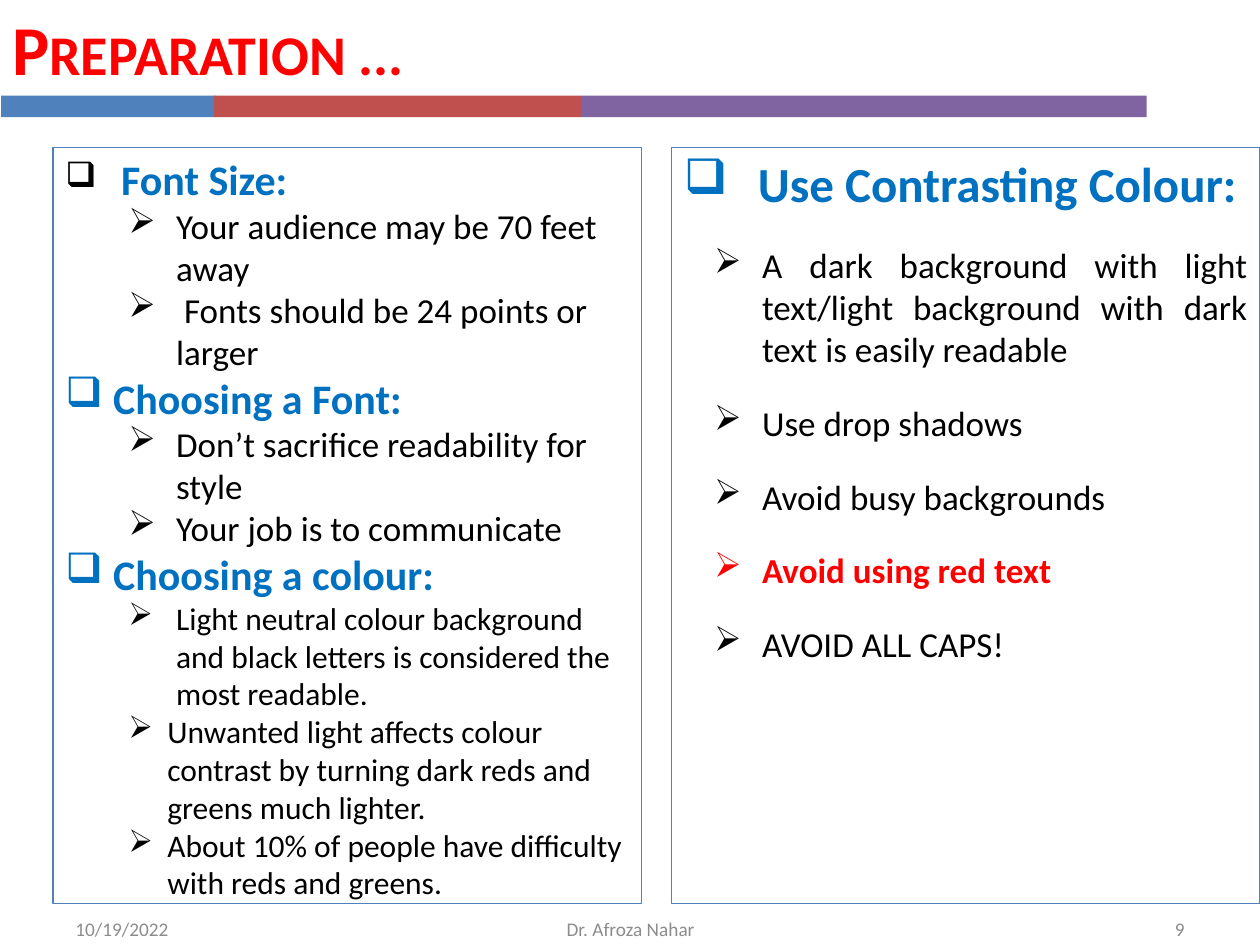
from dataclasses import dataclass

from lxml.etree import SubElement
from pptx import Presentation
from pptx.dml.color import RGBColor
from pptx.enum.shapes import MSO_SHAPE
from pptx.enum.text import MSO_ANCHOR, PP_ALIGN
from pptx.oxml.ns import qn
from pptx.slide import Slide
from pptx.text.text import _Paragraph
from pptx.util import Inches, Pt

BLACK = RGBColor(0x00, 0x00, 0x00)
RED = RGBColor(0xFF, 0x00, 0x00)
HEADING_BLUE = RGBColor(0x00, 0x70, 0xC0)
GREY = RGBColor(0x8C, 0x8C, 0x8C)
BAR_BLUE = RGBColor(0x4F, 0x81, 0xBD)
BAR_RED = RGBColor(0xC0, 0x50, 0x4D)
BAR_PURPLE = RGBColor(0x80, 0x64, 0xA2)

FONT = "Calibri"
SQUARE = "❑"
ARROW = "➢"


@dataclass(frozen=True)
class Bar:
    left: float
    width: float
    color: RGBColor


@dataclass(frozen=True)
class Label:
    text: str
    left: float
    top: float
    width: float
    height: float
    size: int
    color: RGBColor
    align: PP_ALIGN = PP_ALIGN.LEFT
    bold: bool = False
    small_caps: bool = False


@dataclass(frozen=True)
class Item:
    text: str
    size: int = 20
    color: RGBColor = BLACK
    bold: bool = False
    bullet: str = ARROW
    level: int = 1
    margin: float = 0.88
    hanging: float = 0.38
    align: PP_ALIGN = PP_ALIGN.LEFT
    lead: str = ""


@dataclass(frozen=True)
class Panel:
    left: float
    items: tuple[Item, ...]
    before: int = 0
    after: int = 0


def heading(text: str, size: int = 24, indent: float = 0.38, lead: str = "") -> Item:
    return Item(text, size, HEADING_BLUE, True, SQUARE, 0, indent, indent, lead=lead)


def advice(text: str, color: RGBColor = BLACK, bold: bool = False) -> Item:
    return Item(text, color=color, bold=bold, margin=0.62, align=PP_ALIGN.JUSTIFY)


BARS = (
    Bar(0.01, 1.7, BAR_BLUE),
    Bar(1.7, 2.91, BAR_RED),
    Bar(4.61, 4.49, BAR_PURPLE),
)

LABELS = (
    Label("Preparation ...", 0, 0, 9.1, 0.76, 40, RED, bold=True, small_caps=True),
    Label("10/19/2022", 0.5, 7.17, 2.33, 0.4, 11, GREY),
    Label("Dr. Afroza Nahar", 3.42, 7.17, 3.17, 0.4, 11, GREY, PP_ALIGN.CENTER),
    Label("9", 7.17, 7.17, 2.33, 0.4, 11, GREY, PP_ALIGN.RIGHT),
)

PANELS = (
    Panel(0.42, (
        heading("Font Size:", lead=" "),
        Item("Your audience may be 70 feet away"),
        Item(" Fonts should be 24 points or larger"),
        heading("Choosing a Font:"),
        Item("Don’t sacrifice readability for style"),
        Item("Your job is to communicate"),
        heading("Choosing a colour:"),
        Item("Light neutral colour background and black letters is considered "
             "the most readable.", 18),
        Item("Unwanted light affects colour contrast by turning dark reds and "
             "greens much lighter.", 18, margin=0.81, hanging=0.31),
        Item("About 10% of people have difficulty with reds and greens.", 18,
             margin=0.81, hanging=0.31),
    )),
    Panel(5.33, (
        heading(" Use Contrasting Colour:", 28, 0.5),
        advice("A dark background with light text/light background with dark "
               "text is easily readable"),
        advice("Use drop shadows"),
        advice("Avoid busy backgrounds"),
        advice("Avoid using red text", RED, True),
        advice("AVOID ALL CAPS!"),
    ), before=6, after=12),
)


def add_span(para: _Paragraph, text: str, size: int, color: RGBColor,
             bold: bool = False, small_caps: bool = False) -> None:
    span = para.add_run()
    span.text = text
    for name, value in {"name": FONT, "size": Pt(size), "bold": bold}.items():
        setattr(span.font, name, value)
    span.font.color.rgb = color
    if small_caps:
        span.font._element.set("cap", "small")


def add_bar(page: Slide, bar: Bar) -> None:
    box = page.shapes.add_shape(MSO_SHAPE.RECTANGLE, Inches(bar.left), Inches(0.76),
                                Inches(bar.width), Inches(0.17))
    box.shadow.inherit = False
    box.fill.solid()
    box.fill.fore_color.rgb = bar.color
    box.line.fill.background()


def add_label(page: Slide, label: Label) -> None:
    box = page.shapes.add_textbox(Inches(label.left), Inches(label.top),
                                  Inches(label.width), Inches(label.height))
    frame = box.text_frame
    frame.word_wrap = True
    frame.vertical_anchor = MSO_ANCHOR.MIDDLE
    para = frame.paragraphs[0]
    para.alignment = label.align
    add_span(para, label.text, label.size, label.color, label.bold, label.small_caps)


def add_item(para: _Paragraph, item: Item) -> None:
    properties = para._p.get_or_add_pPr()
    properties.set("marL", str(Inches(item.margin)))
    properties.set("indent", str(-Inches(item.hanging)))
    SubElement(properties, qn("a:buChar")).set("char", item.bullet)
    para.level = item.level
    para.alignment = item.align
    if item.lead:
        add_span(para, item.lead, 20, BLACK)
    add_span(para, item.text, item.size, item.color, item.bold)


def add_panel(page: Slide, panel: Panel) -> None:
    box = page.shapes.add_shape(MSO_SHAPE.RECTANGLE, Inches(panel.left), Inches(1.17),
                                Inches(4.67), Inches(6))
    box.shadow.inherit = False
    box.fill.background()
    box.line.color.rgb = BAR_BLUE
    box.line.width = Pt(0.75)
    frame = box.text_frame
    frame.word_wrap = True
    frame.vertical_anchor = MSO_ANCHOR.TOP
    for index, item in enumerate(panel.items):
        para = frame.add_paragraph() if index else frame.paragraphs[0]
        add_item(para, item)
        para.space_after = Pt(panel.after)
        if index:
            para.space_before = Pt(panel.before)


def main() -> None:
    deck = Presentation()
    deck.slide_width = Inches(10)
    deck.slide_height = Inches(7.5)
    page = deck.slides.add_slide(deck.slide_layouts[6])
    for bar in BARS:
        add_bar(page, bar)
    for label in LABELS:
        add_label(page, label)
    for panel in PANELS:
        add_panel(page, panel)
    deck.save("out.pptx")


if __name__ == "__main__":
    main()
